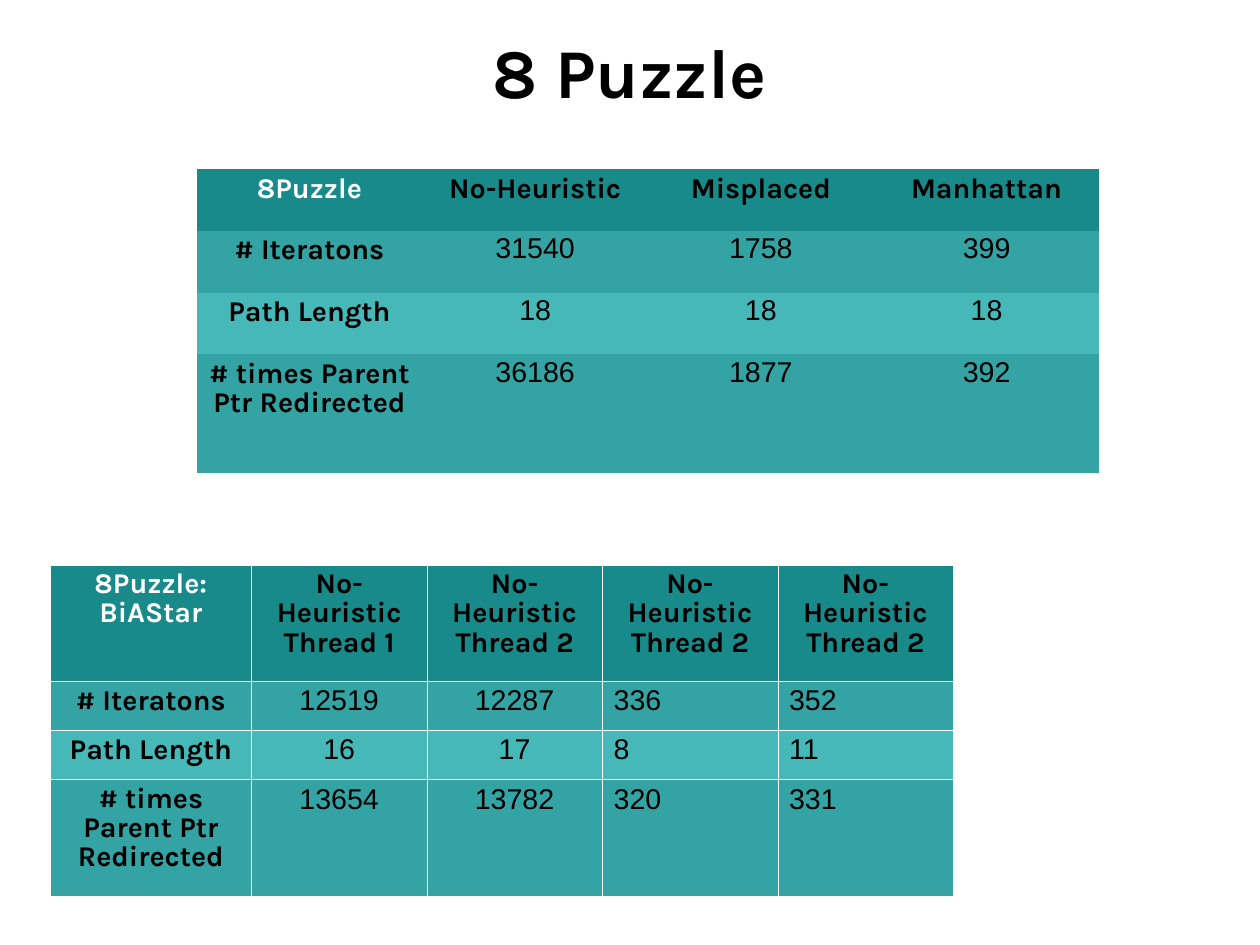
from dataclasses import dataclass

from lxml import etree
from pptx import Presentation
from pptx.dml.color import RGBColor
from pptx.enum.text import MSO_ANCHOR, PP_ALIGN
from pptx.oxml.ns import qn
from pptx.slide import Slide
from pptx.table import _Cell
from pptx.text.text import TextFrame
from pptx.util import Emu, Inches, Pt

CENTER, LEFT = PP_ALIGN.CENTER, PP_ALIGN.LEFT
MIDDLE = MSO_ANCHOR.MIDDLE

BLACK = RGBColor(0x00, 0x00, 0x00)
WHITE = RGBColor(0xFF, 0xFF, 0xFF)
DARK = RGBColor(0x19, 0x8A, 0x8A)
TEAL = RGBColor(0x33, 0xA3, 0xA3)
LIGHT = RGBColor(0x47, 0xB8, 0xB8)
FILLS = (DARK, TEAL, LIGHT, TEAL)  # one per table row

WIDE, HIGH = Emu(10080625), Emu(7559675)  # standard 28 x 21 cm screen page
SPAN = 7.9  # width of both tables
HEAD = 1.76  # first column of the lower table


@dataclass
class Grid:
    left: float
    top: float
    cols: list[float]
    rows: list[float]
    cells: list[list[str]]
    lined: bool  # thin white cell borders
    space: float  # line spacing of the numbers
    flush: int  # first column whose numbers align left


GRIDS = [
    Grid(1.72, 1.48, [SPAN / 4] * 4, [0.54] * 3 + [1.04], [
        ["8Puzzle", "No-Heuristic", "Misplaced", "Manhattan"],
        ["# Iteratons", "31540", "1758", "399"],
        ["Path Length", "18", "18", "18"],
        ["# times Parent Ptr Redirected", "36186", "1877", "392"],
    ], lined=False, space=0.87, flush=4),
    Grid(0.44, 4.94, [HEAD] + [(SPAN - HEAD) / 4] * 4,
         [1.02, 0.43, 0.43, 1.02], [
        ["8Puzzle: BiAStar", "No-Heuristic\vThread 1"]
        + ["No-Heuristic\nThread 2"] * 3,
        ["# Iteratons", "12519", "12287", "336", "352"],
        ["Path Length", "16", "17", "8", "11"],
        ["# times Parent Ptr Redirected", "13654", "13782", "320", "331"],
    ], lined=True, space=0.93, flush=3),
]


def write(frame: TextFrame, text: str, *, size: float = 18,
          font: str = "Karla", bold: bool = True, color: RGBColor = BLACK,
          align: PP_ALIGN = CENTER, space: float = 0.87) -> None:
    frame.text = text
    for para in frame.paragraphs:
        para.alignment = align
        para.line_spacing = space
        for run in para.runs:
            run.font.name = font
            run.font.size = Pt(size)
            run.font.bold = bold
            run.font.color.rgb = color


def edge(cell: _Cell, lined: bool) -> None:
    props = cell._tc.get_or_add_tcPr()
    for side in ("lnL", "lnR", "lnT", "lnB"):
        line = etree.SubElement(props, qn(f"a:{side}"))
        if lined:
            line.set("w", str(Pt(0.06)))
            fill = etree.SubElement(line, qn("a:solidFill"))
            etree.SubElement(fill, qn("a:srgbClr"), val=str(WHITE))
        else:
            line.set("w", "0")
            etree.SubElement(line, qn("a:noFill"))


def draw(slide: Slide, grid: Grid) -> None:
    table = slide.shapes.add_table(
        len(grid.rows), len(grid.cols), Inches(grid.left), Inches(grid.top),
        Inches(sum(grid.cols)), Inches(sum(grid.rows))).table
    for col, width in zip(table.columns, grid.cols):
        col.width = Inches(width)
    for row, height in zip(table.rows, grid.rows):
        row.height = Inches(height)

    for r, line in enumerate(grid.cells):
        for c, text in enumerate(line):
            cell = table.cell(r, c)
            cell.margin_left = cell.margin_right = Inches(0.1)
            cell.margin_top = cell.margin_bottom = Inches(0.05)
            edge(cell, grid.lined)
            cell.fill.solid()
            cell.fill.fore_color.rgb = FILLS[r]
            if r and c:
                write(cell.text_frame, text, font="Arial", bold=False,
                      align=LEFT if c >= grid.flush else CENTER,
                      space=grid.space)
            else:
                write(cell.text_frame, text, color=BLACK if r or c else WHITE)


def main() -> None:
    deck = Presentation()
    deck.slide_width = WIDE
    deck.slide_height = HIGH
    slide = deck.slides.add_slide(deck.slide_layouts[6])

    # Title
    title = slide.shapes.add_textbox(
        Inches(0.55), Inches(0.28), Inches(9.92), Inches(0.72)).text_frame
    title.word_wrap = True
    title.vertical_anchor = MIDDLE
    title.margin_left = title.margin_right = title.margin_bottom = 0
    title.margin_top = Inches(0.04)
    write(title, "8 Puzzle", size=44, space=0.93)

    # Result tables
    for grid in GRIDS:
        draw(slide, grid)

    deck.save("out.pptx")


if __name__ == "__main__":
    main()
